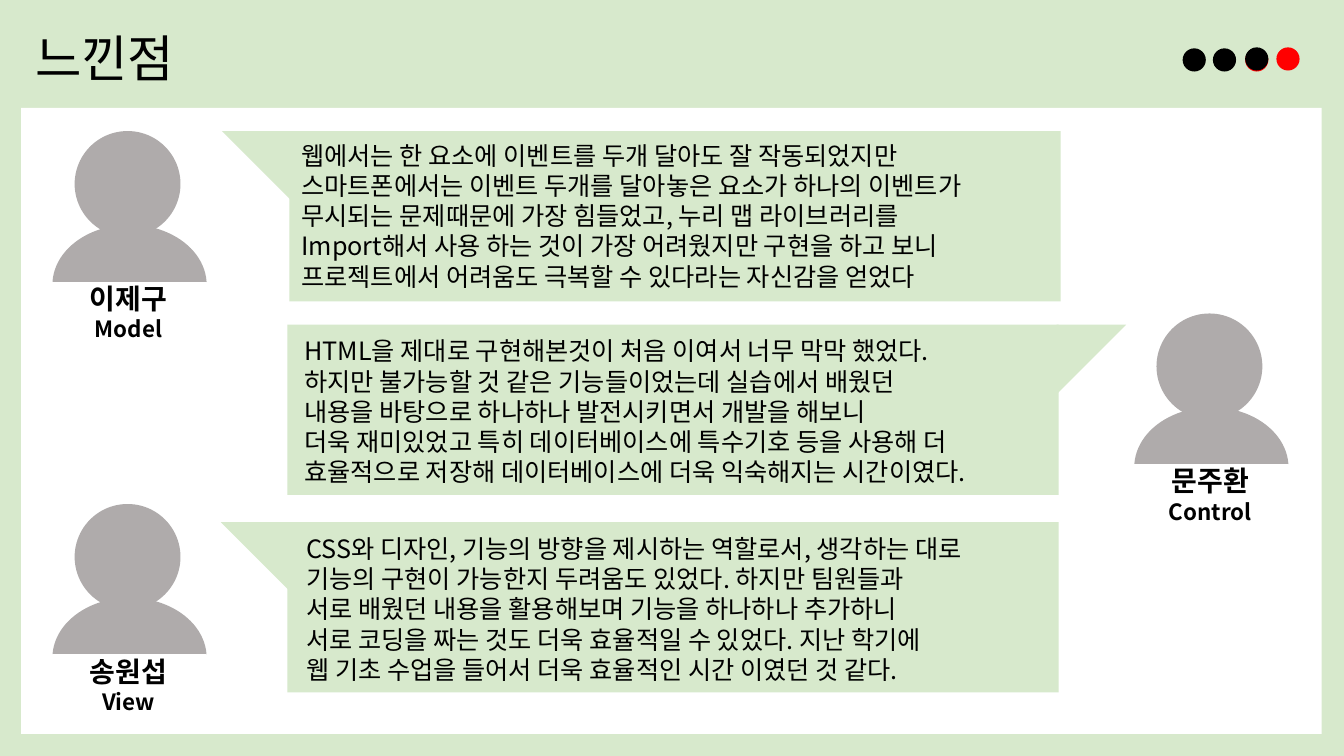
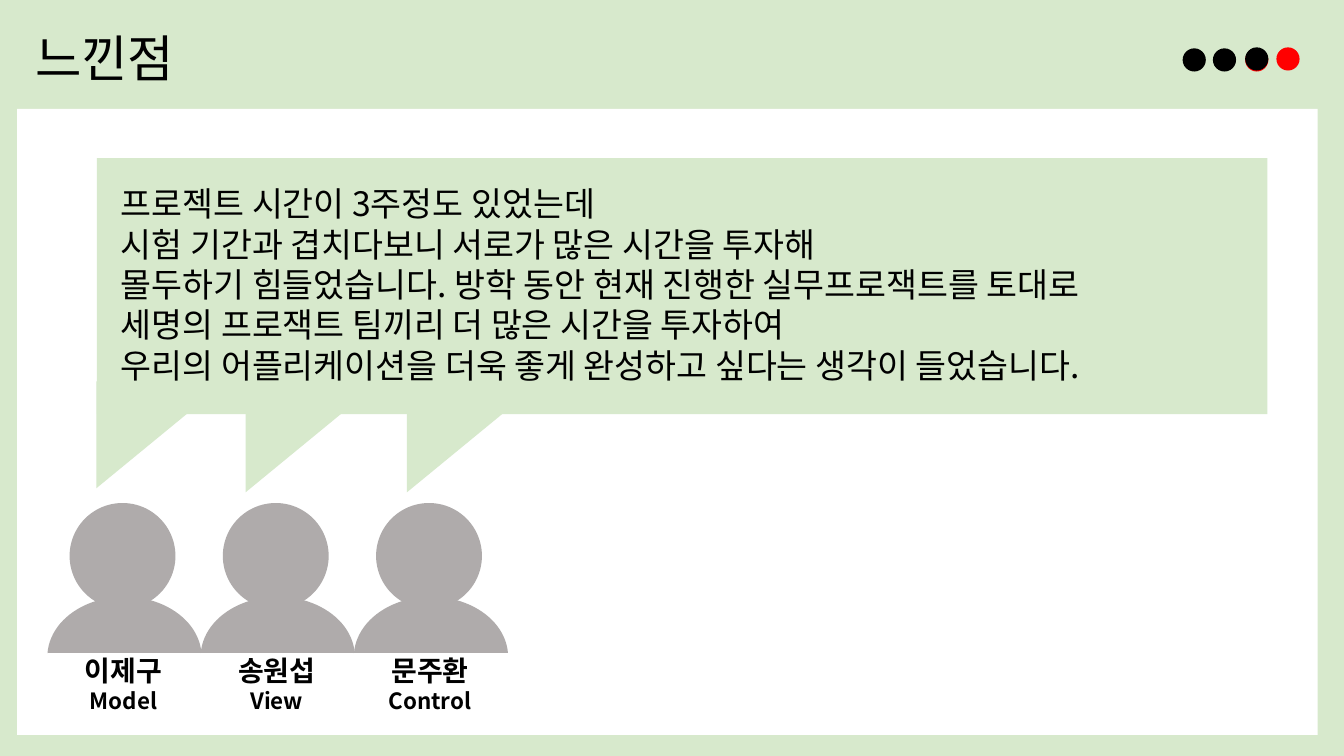
from dataclasses import dataclass

import lxml.etree
import pptx
import pptx.dml.color
import pptx.enum.shapes
import pptx.enum.text
import pptx.oxml.ns
import pptx.shapes.shapetree
import pptx.slide
import pptx.util

Inches = pptx.util.Inches
Shape = pptx.enum.shapes.MSO_SHAPE
Align = pptx.enum.text.PP_ALIGN


@dataclass(frozen=True)
class Theme:
    font: str = "Noto Sans CJK KR"
    green: str = "D7E9CC"
    white: str = "FFFFFF"
    black: str = "000000"
    red: str = "FF0000"
    grey: str = "AFABAB"
    title_size: int = 36
    closing_size: int = 24
    name_size: int = 20
    comment_size: int = 18
    role_size: int = 16


@dataclass(frozen=True)
class Box:
    left: float
    top: float
    width: float
    height: float

    def lengths(self) -> tuple:
        return tuple(Inches(value) for value in
                     (self.left, self.top, self.width, self.height))


@dataclass(frozen=True)
class Member:
    name: str
    role: str


@dataclass(frozen=True)
class Bubble:
    box: Box
    tail_left: float
    tail_rotation: int
    text_left: float
    text_top: float
    lines: tuple[str, ...]


THEME = Theme()
TITLE = "느낀점"
MODEL = Member("이제구", "Model")
VIEW = Member("송원섭", "View")
CONTROL = Member("문주환", "Control")

# Progress dots: left, top, colour, from back to front
DOTS = (
    (12.35, 0.48, THEME.red),
    (11.73, 0.48, THEME.black),
    (12.03, 0.48, THEME.black),
    (12.66, 0.47, THEME.red),
    (12.35, 0.47, THEME.black),
)
DOT_SIZE = 0.23
TAIL_SIZE = 0.69

COMMENTS = (
    Bubble(Box(2.87, 1.3, 7.65, 1.69), 2.2, 180, 2.89, 1.34, (
        "웹에서는 한 요소에 이벤트를 두개 달아도 잘 작동되었지만",
        "스마트폰에서는 이벤트 두개를 달아놓은 요소가 하나의 이벤트가",
        "무시되는 문제때문에 가장 힘들었고, 누리 맵 라이브러리를",
        "Import해서 사용 하는 것이 가장 어려웠지만 구현을 하고 보니",
        "프로젝트에서 어려움도 극복할 수 있다라는 자신감을 얻었다",
    )),
    Bubble(Box(2.85, 3.22, 7.65, 1.69), 10.48, 90, 2.92, 3.28, (
        "HTML을 제대로 구현해본것이 처음 이여서 너무 막막 했었다.",
        "하지만 불가능할 것 같은 기능들이었는데 실습에서 배웠던",
        "내용을 바탕으로 하나하나 발전시키면서 개발을 해보니",
        "더욱 재미있었고 특히 데이터베이스에 특수기호 등을 사용해 더",
        "효율적으로 저장해 데이터베이스에 더욱 익숙해지는 시간이였다.",
    )),
    Bubble(Box(2.85, 5.18, 7.65, 1.69), 2.19, 180, 2.94, 5.24, (
        "CSS와 디자인, 기능의 방향을 제시하는 역할로서, 생각하는 대로",
        "기능의 구현이 가능한지 두려움도 있었다. 하지만 팀원들과",
        "서로 배웠던 내용을 활용해보며 기능을 하나하나 추가하니",
        "서로 코딩을 짜는 것도 더욱 효율적일 수 있었다. 지난 학기에",
        "웹 기초 수업을 들어서 더욱 효율적인 시간 이였던 것 같다.",
    )),
)

CLOSING_LINES = (
    "프로젝트 시간이 3주정도 있었는데",
    "시험 기간과 겹치다보니 서로가 많은 시간을 투자해",
    "몰두하기 힘들었습니다. 방학 동안 현재 진행한 실무프로잭트를 토대로",
    "세명의 프로잭트 팀끼리 더 많은 시간을 투자하여",
    "우리의 어플리케이션을 더욱 좋게 완성하고 싶다는 생각이 들었습니다.",
)


def rgb(colour: str) -> pptx.dml.color.RGBColor:
    return pptx.dml.color.RGBColor.from_string(colour)


def draw_shape(shapes: pptx.shapes.shapetree._BaseGroupShapes, kind: Shape, box: Box,
               colour: str, rotation: int = 0, outlined: bool = False) -> None:
    shape = shapes.add_shape(kind, *box.lengths())
    shape.shadow.inherit = False
    shape.rotation = rotation
    shape.fill.solid()
    shape.fill.fore_color.rgb = rgb(colour)
    if outlined:
        shape.line.color.rgb = rgb(colour)
        shape.line.width = pptx.util.Pt(1)
    else:
        shape.line.fill.background()


def draw_text(slide: pptx.slide.Slide, box: Box, lines: tuple[str, ...], size: int,
              bold: bool = False, align: Align = Align.LEFT) -> None:
    frame = slide.shapes.add_textbox(*box.lengths()).text_frame
    frame.word_wrap = True
    frame.auto_size = pptx.enum.text.MSO_AUTO_SIZE.SHAPE_TO_FIT_TEXT
    frame.text = "\n".join(lines)
    for paragraph in frame.paragraphs:
        paragraph.alignment = align
        paragraph.font.size = pptx.util.Pt(size)
        paragraph.font.bold = bold
        paragraph.font.color.rgb = rgb(THEME.black)
        paragraph.font.name = THEME.font
        # Hangul takes its typeface from the East Asian font
        qualified = pptx.oxml.ns.qn
        properties = paragraph._p.pPr.find(qualified("a:defRPr"))
        lxml.etree.SubElement(properties, qualified("a:ea"), typeface=THEME.font)


def draw_member(slide: pptx.slide.Slide, member: Member, left: float, top: float) -> None:
    # Head and shoulders, cut off below by a white rectangle
    figure = slide.shapes.add_group_shape().shapes
    draw_shape(figure, Shape.OVAL, Box(left + 0.22, top, 1.05, 1.05), THEME.grey)
    draw_shape(figure, Shape.OVAL, Box(left, top + 0.93, 1.53, 1.19), THEME.grey)
    draw_shape(figure, Shape.RECTANGLE, Box(left, top + 1.5, 1.53, 0.63),
               THEME.white, outlined=True)
    # Name and role
    draw_text(slide, Box(left - 0.16, top + 1.44, 1.83, 0.44), (member.name,),
              THEME.name_size, True, Align.CENTER)
    draw_text(slide, Box(left - 0.16, top + 1.78, 1.83, 0.37), (member.role,),
              THEME.role_size, True, Align.CENTER)


def draw_bubble(slide: pptx.slide.Slide, bubble: Bubble) -> None:
    balloon = slide.shapes.add_group_shape().shapes
    draw_shape(balloon, Shape.RECTANGLE, bubble.box, THEME.green)
    draw_shape(balloon, Shape.RIGHT_TRIANGLE,
               Box(bubble.tail_left, bubble.box.top, TAIL_SIZE, TAIL_SIZE),
               THEME.green, bubble.tail_rotation)
    draw_text(slide, Box(bubble.text_left, bubble.text_top, 7.7, 1.62),
              bubble.lines, THEME.comment_size)


def add_base_slide(presentation: pptx.presentation.Presentation,
                   panel: Box) -> pptx.slide.Slide:
    slide = presentation.slides.add_slide(presentation.slide_layouts[6])
    slide.background.fill.solid()
    slide.background.fill.fore_color.rgb = rgb(THEME.green)
    draw_shape(slide.shapes, Shape.RECTANGLE, panel, THEME.white)
    draw_text(slide, Box(0.25, 0.22, 10.77, 0.71), (TITLE,), THEME.title_size)
    for left, top, colour in DOTS:
        draw_shape(slide.shapes, Shape.OVAL, Box(left, top, DOT_SIZE, DOT_SIZE), colour)
    return slide


def build_comments_slide(presentation: pptx.presentation.Presentation) -> None:
    slide = add_base_slide(presentation, Box(0.21, 1.07, 12.9, 6.21))
    draw_member(slide, MODEL, 0.52, 1.3)
    draw_member(slide, CONTROL, 11.25, 3.11)
    draw_member(slide, VIEW, 0.52, 5)
    for bubble in COMMENTS:
        draw_bubble(slide, bubble)


def build_closing_slide(presentation: pptx.presentation.Presentation) -> None:
    slide = add_base_slide(presentation, Box(0.17, 1.08, 12.9, 6.21))
    # Shared bubble with one tail for each member
    draw_shape(slide.shapes, Shape.RECTANGLE, Box(0.96, 1.57, 11.61, 2.54), THEME.green)
    for left, top in ((1.07, 3.67), (2.55, 3.71), (4.15, 3.71)):
        draw_shape(slide.shapes, Shape.RIGHT_TRIANGLE, Box(left, top, 1.06, 1.29),
                   THEME.green, 90)
    draw_text(slide, Box(1.1, 1.77, 11.56, 2.12), CLOSING_LINES, THEME.closing_size)
    # Team side by side
    for index, member in enumerate((MODEL, VIEW, CONTROL)):
        draw_member(slide, member, 0.47 + 1.52 * index, 4.99)


def main() -> None:
    presentation = pptx.Presentation()
    presentation.slide_width = Inches(13.33)
    presentation.slide_height = Inches(7.5)
    build_comments_slide(presentation)
    build_closing_slide(presentation)
    presentation.save("out.pptx")


if __name__ == "__main__":
    main()
